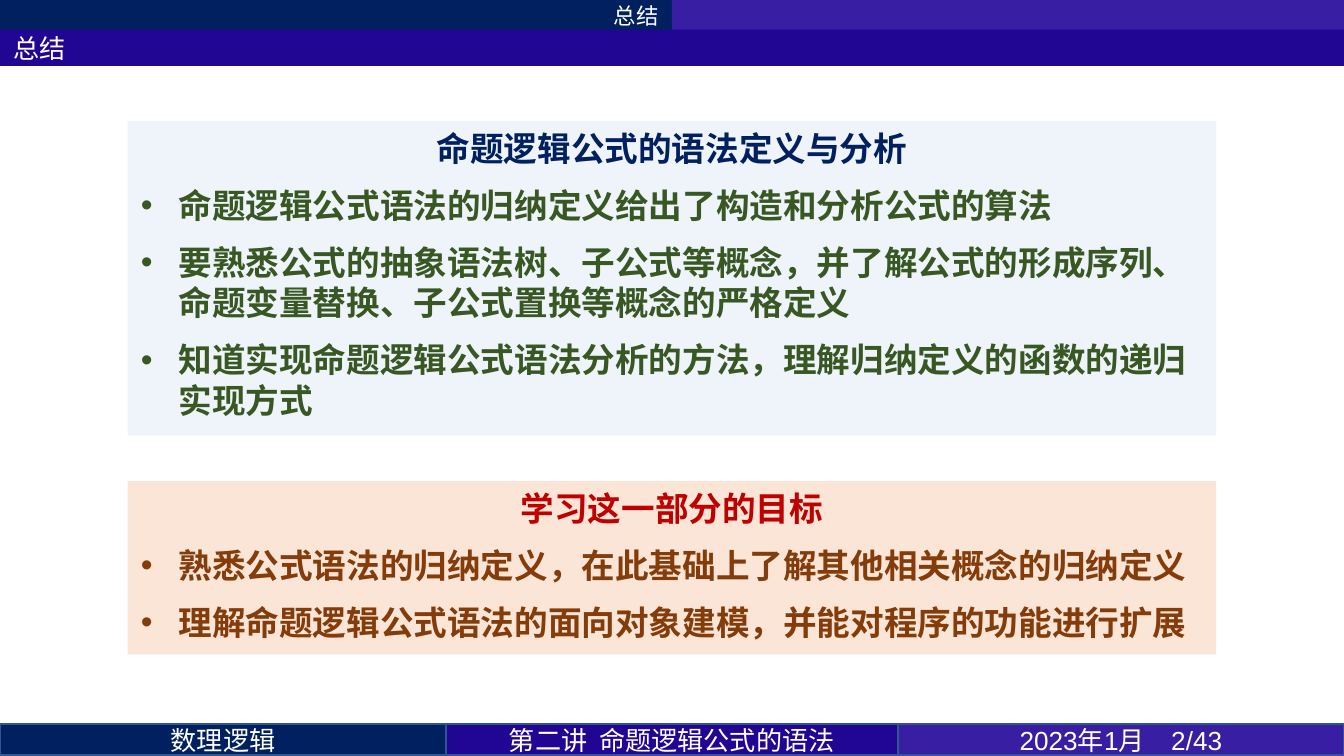
import pptx
import pptx.dml.color
import pptx.enum.shapes
import pptx.enum.text
import pptx.oxml
import pptx.oxml.ns
import pptx.util
import lxml.etree

Inches = pptx.util.Inches
Pt = pptx.util.Pt
ALIGN = pptx.enum.text.PP_ALIGN
ANCHOR = pptx.enum.text.MSO_ANCHOR

WIDTH = 10
HEIGHT = WIDTH * 9 / 16
CJK = "Noto Sans CJK SC"
NAVY, INDIGO, VIOLET = "002060", "210694", "371EA2"


def rgb(code):
    return pptx.dml.color.RGBColor.from_string(code)


def child(parent, tag, **attributes):
    element = lxml.etree.SubElement(parent, pptx.oxml.ns.qn(tag))
    for key, value in attributes.items():
        element.set(key, str(value))
    return element


def write(paragraph, text, size=14, color="FFFFFF", bold=False, font=CJK,
          align=ALIGN.LEFT, before=0, after=0, line=None, bullet=False, gap=0):
    """Fill a paragraph; gap is the extra width in points given to each space."""
    paragraph.alignment = align
    paragraph.space_before = Pt(before)
    paragraph.space_after = Pt(after)
    if line:
        paragraph.line_spacing = Pt(line)
    if bullet:
        properties = paragraph._p.get_or_add_pPr()
        properties.set("marL", str(Inches(0.28)))
        properties.set("indent", str(-Inches(0.28)))
        child(properties, "a:buFont", typeface="Arial")
        child(properties, "a:buChar", char="•")
    for piece in (text.replace(" ", "| |").split("|") if gap else [text]):
        run = paragraph.add_run()
        run.text = piece
        run.font.size = Pt(size)
        run.font.bold = bold
        run.font.color.rgb = rgb(color)
        run.font.name = font
        child(run._r.rPr, "a:ea", typeface=CJK)
        if piece == " ":
            run._r.rPr.set("spc", str(round(gap * 100)))


class SummarySlide:
    size = 18
    line = 21.6
    spacing = 4.5
    border = "325491"

    def __init__(self, presentation):
        self.slide = presentation.slides.add_slide(presentation.slide_layouts[6])

    def block(self, left, top, width, height, fill, border=None, alpha=None):
        block = self.slide.shapes.add_shape(
            pptx.enum.shapes.MSO_SHAPE.RECTANGLE,
            Inches(left), Inches(top), Inches(width), Inches(height))
        block.shadow.inherit = False
        block.fill.solid()
        block.fill.fore_color.rgb = rgb(fill)
        if alpha:
            tint = block._element.spPr.find(".//" + pptx.oxml.ns.qn("a:srgbClr"))
            child(tint, "a:alpha", val=alpha * 1000)
        if border:
            block.line.color.rgb = rgb(border)
            block.line.width = Pt(1)
        else:
            block.line.fill.background()
        return block

    def bar(self, left, top, width, height, fill, text="", border=None, **style):
        frame = self.block(left, top, width, height, fill, border).text_frame
        frame.vertical_anchor = ANCHOR.MIDDLE
        if text:
            write(frame.paragraphs[0], text, **style)

    def panel(self, top, height, fill, heading, heading_color, points, point_color,
              alpha=None):
        frame = self.block(0.95, top, 8.1, height, fill, alpha=alpha).text_frame
        frame.word_wrap = True
        frame.auto_size = pptx.enum.text.MSO_AUTO_SIZE.SHAPE_TO_FIT_TEXT
        frame.vertical_anchor = ANCHOR.TOP
        body = dict(size=self.size, bold=True, line=self.line, after=self.spacing)
        write(frame.paragraphs[0], heading, color=heading_color, font="Calibri",
              align=ALIGN.CENTER, **body)
        for point in points:
            write(frame.add_paragraph(), point, color=point_color, bullet=True,
                  before=self.spacing, **body)

    def footer(self, cells):
        left = 0
        for text, width, fill, font, gap in cells:
            self.bar(left, 5.39, width, 0.23, fill, text, self.border,
                     font=font, gap=gap, align=ALIGN.CENTER)
            left += width


def main():
    presentation = pptx.Presentation()
    presentation.slide_width = Inches(WIDTH)
    presentation.slide_height = Inches(HEIGHT)
    summary = SummarySlide(presentation)

    summary.panel(0.9, 2.34, "DEEBF7", "命题逻辑公式的语法定义与分析", NAVY, [
        "命题逻辑公式语法的归纳定义给出了构造和分析公式的算法",
        "要熟悉公式的抽象语法树、子公式等概念，并了解公式的形成序列、"
        "命题变量替换、子公式置换等概念的严格定义",
        "知道实现命题逻辑公式语法分析的方法，理解归纳定义的函数的递归实现方式",
    ], "385723", alpha=50)
    summary.panel(3.58, 1.29, "FBE5D6", "学习这一部分的目标", "C00000", [
        "熟悉公式语法的归纳定义，在此基础上了解其他相关概念的归纳定义",
        "理解命题逻辑公式语法的面向对象建模，并能对程序的功能进行扩展",
    ], "843C0B")

    summary.bar(0, 0, WIDTH / 2, 0.23, NAVY, "总结", size=12, align=ALIGN.RIGHT)
    summary.bar(WIDTH / 2, 0, WIDTH / 2, 0.23, VIOLET)
    summary.bar(0, 0.22, WIDTH, 0.27, INDIGO, "总结", font="Calibri")
    summary.footer([
        ("数理逻辑", 3.32, NAVY, CJK, 0),
        ("第二讲 命题逻辑公式的语法", 3.36, INDIGO, CJK, 3),
        ("2023年1月 2/43", 3.32, VIOLET, "Arial", 11),
    ])
    presentation.save("out.pptx")


if __name__ == "__main__":
    main()
